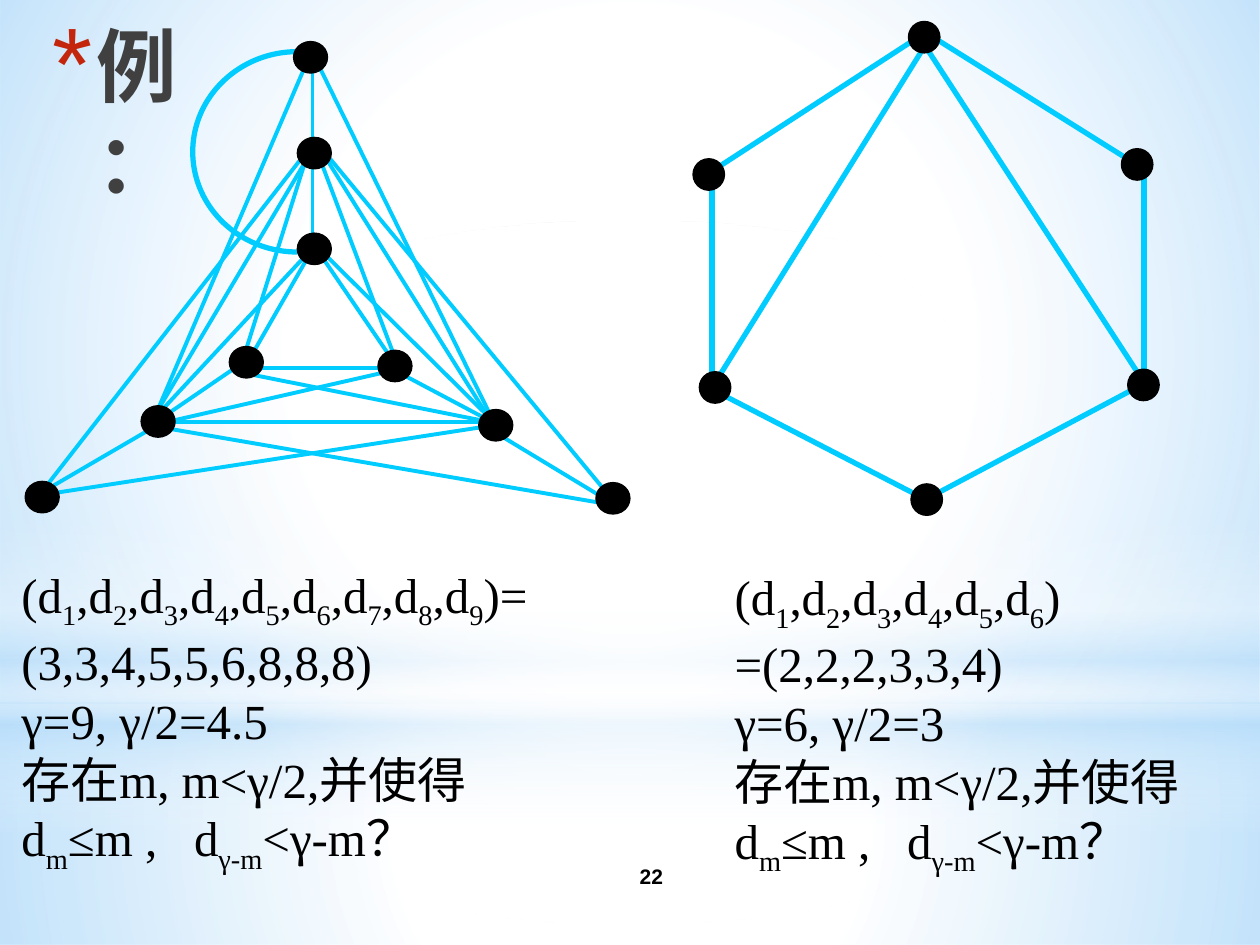
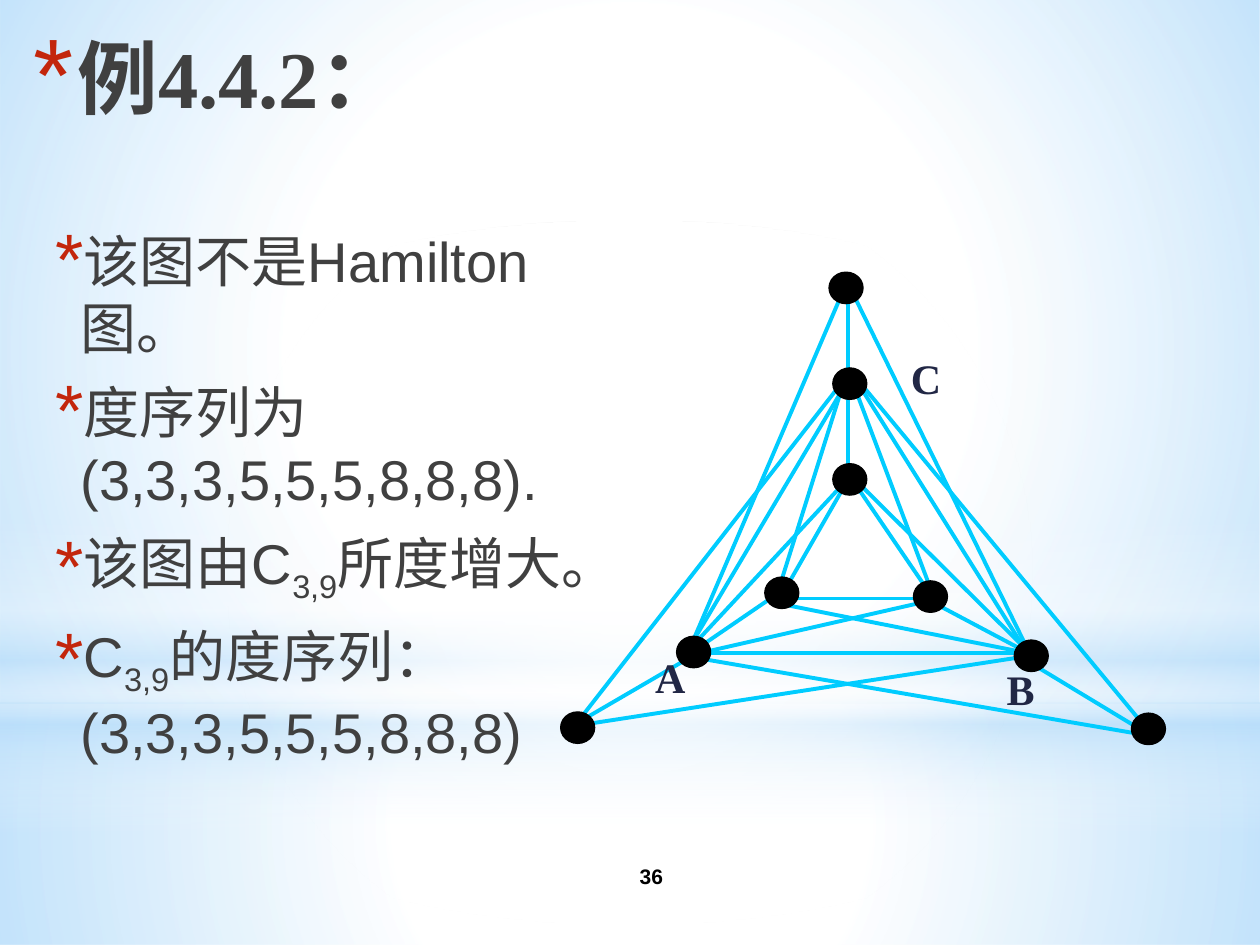
from pptx import Presentation, oxml
from pptx import util as u
from pptx.dml.color import RGBColor
from pptx.enum import shapes, text
from pptx.oxml import ns

BLACK = RGBColor(0x00, 0x00, 0x00)
CYAN = RGBColor(0x00, 0xCC, 0xFF)
GREY = RGBColor(0x40, 0x40, 0x40)
NAVY = RGBColor(0x21, 0x27, 0x45)
RED = RGBColor(0xC3, 0x26, 0x0C)
WHITE = RGBColor(0xFF, 0xFF, 0xFF)
SKY = RGBColor(0xB4, 0xDC, 0xFA)
SERIF = "Times New Roman"
SANS = "Arial"
LEFT, CENTER, RIGHT = text.PP_ALIGN.LEFT, text.PP_ALIGN.CENTER, text.PP_ALIGN.RIGHT

RADIAL = '<a:path path="circle"><a:fillToRect l="50000" t="50000" r="50000" b="50000"/></a:path>'
VERTICAL = '<a:lin ang="5400000" scaled="0"/>'
RECTANGLE, OVAL = shapes.MSO_SHAPE.RECTANGLE, shapes.MSO_SHAPE.OVAL

# Backdrop: preset, box, gradient stops (position, colour, opacity), direction
BACKDROP = [
    (RECTANGLE, (0, 5.58, 10, 1.92), [(0, WHITE, 91), (37, WHITE, 76), (100, SKY, 79)], RADIAL),
    (RECTANGLE, (0, 0, 10, 5.58), [(0, WHITE, 89), (48, WHITE, 62), (100, SKY, 79)], RADIAL),
    (RECTANGLE, (0, 4.12, 10, 2.5),
     [(0, WHITE, 0), (29, WHITE, 30), (45, SKY, 40), (55, WHITE, 26), (65, SKY, 60), (100, WHITE, 0)],
     VERTICAL),
    (OVAL, (0, 1.75, 10, 5.58), [(0, WHITE, 100), (56, WHITE, 0)], RADIAL),
]

# Nested triangles: edges (x1, y1, x2, y2) and top left corners of the nodes
TRIANGLE_EDGES = [
    (2.48, 0.5, 2.48, 1.2), (2.48, 1.29, 2.48, 1.91),
    (2.39, 1.26, 0.35, 3.88), (2.62, 1.26, 4.79, 3.88),
    (0.45, 3.91, 3.89, 3.38), (1.21, 3.38, 4.82, 4),
    (1.17, 3.42, 0.38, 3.88), (3.91, 3.42, 4.82, 3.97),
    (2.42, 0.53, 1.21, 3.35), (2.52, 0.5, 3.89, 3.29),
    (2.42, 1.29, 1.25, 3.26), (2.59, 1.26, 3.92, 3.38),
    (2.42, 1.29, 1.92, 2.88), (2.55, 1.29, 3.15, 2.88),
    (1.28, 3.26, 2.48, 1.97), (2.59, 2.03, 3.89, 3.32),
    (2.45, 2.03, 1.98, 2.85), (2.55, 2.03, 3.15, 2.91),
    (1.88, 2.91, 1.28, 3.32), (3.19, 2.97, 3.85, 3.32),
    (1.98, 2.97, 3.89, 3.35), (1.32, 3.35, 3.12, 2.94),
    (2.03, 2.92, 3.03, 2.92), (1.32, 3.35, 3.95, 3.35),
]
TRIANGLE_NODES = [
    (2.33, 0.33), (2.36, 1.09), (2.36, 1.85), (1.82, 2.75), (3, 2.78),
    (1.12, 3.22), (3.8, 3.25), (0.2, 3.82), (4.73, 3.83),
]
HEXAGON_EDGES = [
    (7.28, 0.3, 5.68, 1.34), (7.35, 0.26, 9.01, 1.3),
    (5.65, 1.34, 5.65, 3.09), (9.08, 1.33, 9.08, 3),
    (5.65, 3.09, 7.28, 3.93), (9.05, 3.06, 7.41, 3.93),
    (7.38, 0.3, 5.68, 3.03), (7.32, 0.33, 9.05, 2.99),
]
HEXAGON_NODES = [(7.21, 0.17), (5.5, 1.26), (8.9, 1.18), (5.55, 2.95), (8.95, 2.93), (7.23, 3.84)]


def add_text(slide, box, lines, font, size, color, bold=False, align=LEFT, inset=True):
    """Add a text box; the parts between bars are subscripts."""
    shape = slide.shapes.add_textbox(*map(u.Inches, box))
    frame = shape.text_frame
    frame.word_wrap = True
    if not inset:
        frame.margin_left = frame.margin_right = frame.margin_top = frame.margin_bottom = 0
    for index, line in enumerate(lines):
        paragraph = frame.paragraphs[0] if index == 0 else frame.add_paragraph()
        paragraph.alignment = align
        for part, piece in enumerate(line.split("|")):
            for row, words in enumerate(piece.split("\n")):
                if row:
                    paragraph.add_line_break()
                run = paragraph.add_run()
                run.text = words
                run.font.name, run.font.size, run.font.bold = font, u.Pt(size), bold
                run.font.color.rgb = color
                if part % 2:
                    run.font._element.set("baseline", "-25000")
    return frame


def add_star_bullet(paragraph, indent, hanging, percent):
    """Add a red star; closing punctuation stays inside the box."""
    properties = paragraph._p.get_or_add_pPr()
    properties.set("marL", str(u.Inches(indent)))
    properties.set("indent", str(-u.Inches(hanging)))
    properties.set("hangingPunct", "0")
    for xml in (f'<a:buClr {ns.nsdecls("a")}><a:srgbClr val="{RED}"/></a:buClr>',
                f'<a:buSzPct {ns.nsdecls("a")} val="{percent * 1000}"/>',
                f'<a:buFont {ns.nsdecls("a")} typeface="{SANS}"/>',
                f'<a:buChar {ns.nsdecls("a")} char="*"/>'):
        properties.append(oxml.parse_xml(xml))


presentation = Presentation()
presentation.slide_width = u.Inches(10)
presentation.slide_height = u.Inches(7.5)

# Shared backdrop, page number and starred title
titles = [
    ("22", "例：", (0.08, 0.08, 1.42, 1.25), "Karla", RIGHT),
    ("36", "例4.4.2：", (0.17, 0.17, 9.83, 1.25), SERIF, LEFT),
]
slides = []
for number, title, title_box, title_font, title_align in titles:
    slide = presentation.slides.add_slide(presentation.slide_layouts[6])
    slides.append(slide)
    for preset, box, stops, direction in BACKDROP:
        shape = slide.shapes.add_shape(preset, *map(u.Inches, box))
        shape.shadow.inherit = False
        shape.line.fill.background()
        stop_xml = "".join(
            f'<a:gs pos="{position * 1000}"><a:srgbClr val="{color}">'
            f'<a:alpha val="{opacity * 1000}"/></a:srgbClr></a:gs>'
            for position, color, opacity in stops)
        shape.element.spPr.insert(2, oxml.parse_xml(
            f'<a:gradFill {ns.nsdecls("a")} rotWithShape="1">'
            f'<a:gsLst>{stop_xml}</a:gsLst>{direction}</a:gradFill>'))
    frame = add_text(slide, (4.17, 6.75, 2, 0.4), [number], SANS, 12, BLACK, True, CENTER)
    frame.vertical_anchor = text.MSO_ANCHOR.MIDDLE
    frame = add_text(slide, title_box, [title], title_font, 46, GREY, True, title_align)
    add_star_bullet(frame.paragraphs[0], 0.35, 0.35, 128)
degree_slide, example_slide = slides

# Arc joining the top node to the third node
arc = degree_slide.shapes.add_shape(
    shapes.MSO_SHAPE.ARC, *map(u.Inches, (1.53, 0.41, 1.66, 1.59)))
arc.adjustments[0], arc.adjustments[1] = 54, 162  # 90 and 270 degrees
arc.shadow.inherit = False
arc.fill.background()
arc.line.color.rgb = CYAN
arc.line.width = u.Pt(3)

# Graphs: slide, offset, edges, edge width, nodes, node width
graphs = [
    (degree_slide, 0, 0, TRIANGLE_EDGES, 2.25, TRIANGLE_NODES, 0.27),
    (degree_slide, 0, 0, HEXAGON_EDGES, 3, HEXAGON_NODES, 0.25),
    (example_slide, 4.25, 1.83, TRIANGLE_EDGES, 2.25, TRIANGLE_NODES, 0.27),
]
for slide, dx, dy, edges, edge_width, nodes, node_width in graphs:
    for x1, y1, x2, y2 in edges:
        edge = slide.shapes.add_connector(
            shapes.MSO_CONNECTOR.STRAIGHT,
            *map(u.Inches, (x1 + dx, y1 + dy, x2 + dx, y2 + dy)))
        edge.line.color.rgb = CYAN
        edge.line.width = u.Pt(edge_width)
        edge.element.spPr.append(oxml.parse_xml(f'<a:effectLst {ns.nsdecls("a")}/>'))
    for x, y in nodes:
        node = slide.shapes.add_shape(OVAL, *map(u.Inches, (x + dx, y + dy, node_width, 0.25)))
        node.shadow.inherit = False
        node.fill.solid()
        node.fill.fore_color.rgb = BLACK
        node.line.color.rgb = BLACK
        node.line.width = u.Pt(0.75)

# Degree sequences under the two graphs
condition = "存在m, m<γ/2,并使得\nd|m|≤m ,\td|γ-m|<γ-m？"
sequences = [
    ((0.17, 4.48, 5.33, 2.36), 9, "=\n(3,3,4,5,5,6,8,8,8)", "γ=9, γ/2=4.5"),
    ((5.83, 4.5, 3.92, 2.36), 6, "\n=(2,2,2,3,3,4)", "γ=6, γ/2=3"),
]
for box, count, values, order in sequences:
    degrees = ",".join(f"d|{index}|" for index in range(1, count + 1))
    frame = add_text(degree_slide, box, [f"({degrees}){values}", order, condition],
                     SERIF, 28, BLACK, inset=False)
    frame.paragraphs[-1]._p.get_or_add_pPr().append(oxml.parse_xml(
        f'<a:tabLst {ns.nsdecls("a")}><a:tab pos="{u.Inches(1.37)}" algn="l"/></a:tabLst>'))

# Observations beside the example graph
observations = [
    "该图不是Hamilton图。",
    "度序列为(3,3,3,5,5,5,8,8,8).",
    "该图由C|3,9|所度增大。",
    "C|3,9|的度序列：(3,3,3,5,5,5,8,8,8)",
]
frame = add_text(example_slide, (0.29, 1.75, 4.71, 4.67), observations, SANS, 32, GREY)
for index, paragraph in enumerate(frame.paragraphs):
    add_star_bullet(paragraph, 0.25, 0.2, 130)
    paragraph.space_after = u.Pt(3)
    if index:
        paragraph.space_before = u.Pt(6.4)

# Names of the three nodes of degree eight
for name, x, y in [("A", 5.2, 5.17), ("B", 7.99, 5.27), ("C", 7.23, 2.8)]:
    add_text(example_slide, (x, y, 0.34, 0.4), [name], SERIF, 24, NAVY, True, inset=False)

presentation.save("out.pptx")
